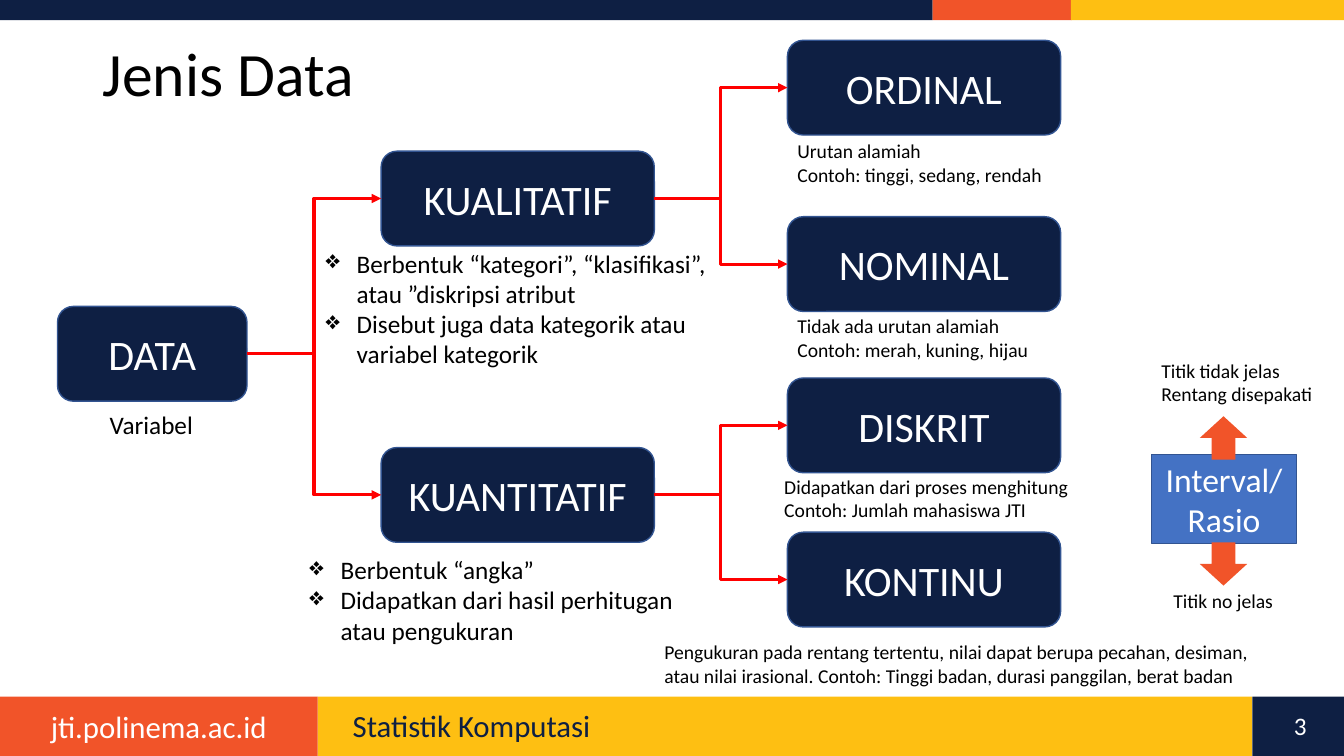
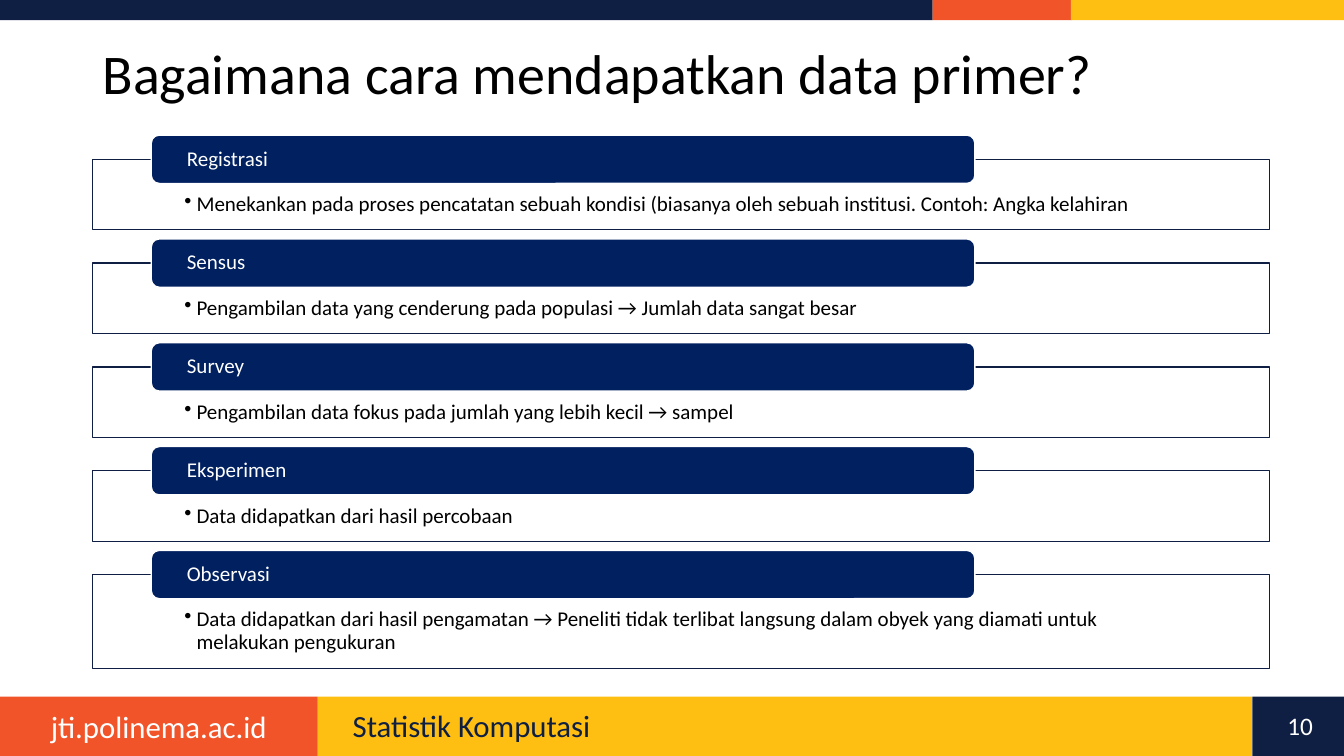
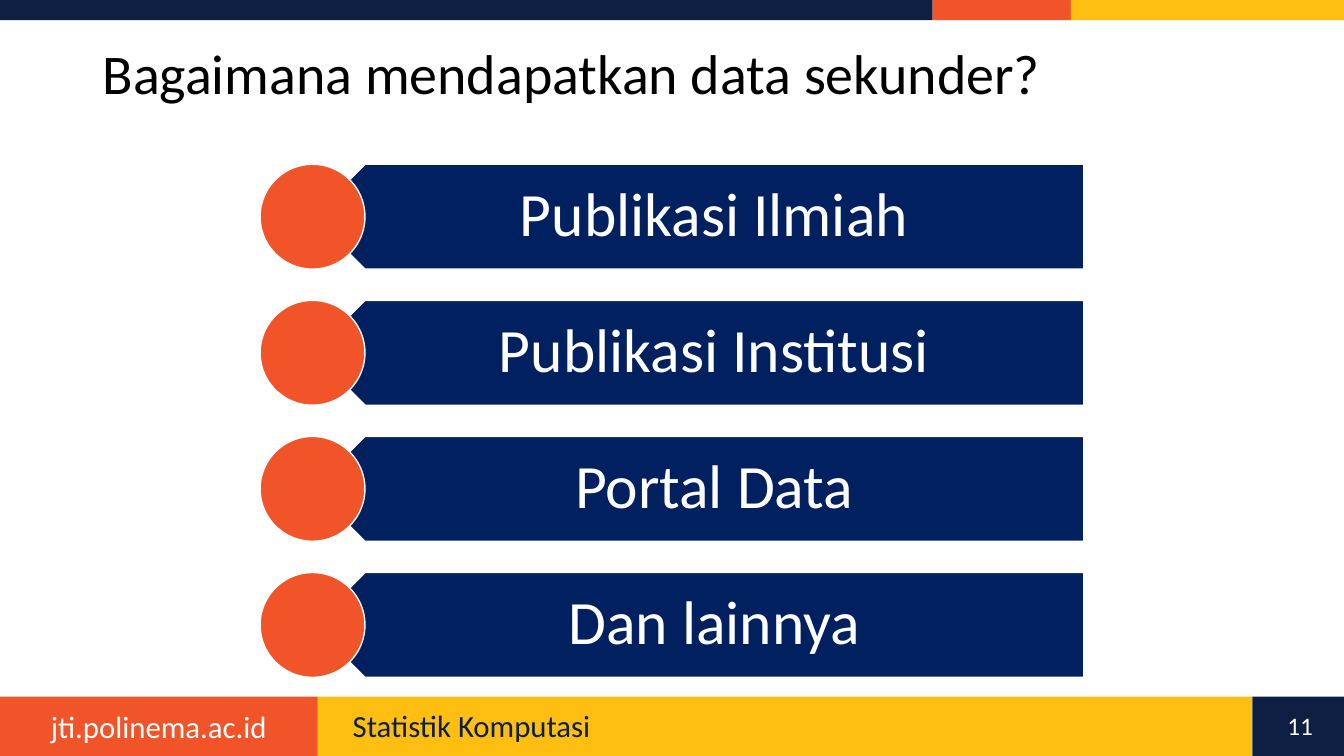
import lxml.etree
import pptx
import pptx.dml.color
import pptx.enum.shapes
import pptx.enum.text
import pptx.oxml.ns
import pptx.util

Inches = pptx.util.Inches
RGBColor = pptx.dml.color.RGBColor
KIND = pptx.enum.shapes.MSO_SHAPE
ALIGN = pptx.enum.text.PP_ALIGN
ANCHOR = pptx.enum.text.MSO_ANCHOR
qn = pptx.oxml.ns.qn

NAVY = RGBColor(0x0E, 0x1F, 0x43)
DEEP = RGBColor(0x00, 0x20, 0x60)
ORANGE = RGBColor(0xF1, 0x54, 0x29)
YELLOW = RGBColor(0xFE, 0xBF, 0x12)
BLUE = RGBColor(0x44, 0x72, 0xC4)
EDGE = RGBColor(0x32, 0x54, 0x91)
RED = RGBColor(0xFF, 0x00, 0x00)
WHITE = RGBColor(0xFF, 0xFF, 0xFF)
BLACK = RGBColor(0x00, 0x00, 0x00)
FONT = "Calibri"


def write(shape, text, size=14, color=BLACK, align=ALIGN.LEFT, anchor=ANCHOR.TOP,
          inset=(0.1, 0.05), space=1.0, bullet=None, hang=0):
    """Fill a shape with one paragraph for each line of text."""
    frame = shape.text_frame
    frame.word_wrap = True
    frame.vertical_anchor = anchor
    frame.margin_left = frame.margin_right = Inches(inset[0])
    frame.margin_top = frame.margin_bottom = Inches(inset[1])
    for i, line in enumerate(text.split("\n")):
        para = frame.add_paragraph() if i else frame.paragraphs[0]
        para.text = line
        para.alignment = align
        para.line_spacing = space
        if bullet:
            props = para._p.get_or_add_pPr()
            props.set("marL", str(Inches(hang)))
            props.set("indent", str(-Inches(hang)))
            lxml.etree.SubElement(props, qn("a:buChar")).set("char", bullet)
        para.font.name = FONT
        para.font.size = pptx.util.Pt(size)
        para.font.color.rgb = color


def label(slide, box, text, **form):
    write(slide.shapes.add_textbox(*map(Inches, box)), text, **form)


def block(slide, kind, box, fill, line=None):
    shape = slide.shapes.add_shape(kind, *map(Inches, box))
    shape.shadow.inherit = False
    shape.fill.solid()
    shape.fill.fore_color.rgb = fill
    if line is None:
        shape.line.fill.background()
    else:
        shape.line.color.rgb = line
        shape.line.width = pptx.util.Pt(1)
    return shape


def link(slide, start, end):
    """Red elbow arrow from the right side of start to the left side of end."""
    elbow = pptx.enum.shapes.MSO_CONNECTOR.ELBOW
    wire = slide.shapes.add_connector(elbow, 0, 0, 0, 0)
    wire.begin_connect(start, 3)
    wire.end_connect(end, 1)
    wire.line.color.rgb = RED
    wire.line.width = pptx.util.Pt(2.25)
    props = wire.element.spPr
    lxml.etree.SubElement(props.find(qn("a:ln")), qn("a:tailEnd")).set("type", "triangle")
    lxml.etree.SubElement(props, qn("a:effectLst"))


# Bands as left, width, fill
TOP = [(0, 9.25, NAVY), (9.25, 1.38, ORANGE), (10.62, 2.71, YELLOW)]
FOOT = [(3.15, 9.27, YELLOW), (0, 3.15, ORANGE), (12.42, 0.92, NAVY)]


def start(deck, title, number, size=40):
    """New slide with bands, footer and title."""
    slide = deck.slides.add_slide(deck.slide_layouts[6])
    for top, high, bands in ((0, 0.2, TOP), (6.91, 0.59, FOOT)):
        for left, wide, fill in bands:
            block(slide, KIND.RECTANGLE, (left, top, wide, high), fill)
    label(slide, (0, 6.97, 3.15, 0.47), "jti.polinema.ac.id",
          size=22, color=WHITE, align=ALIGN.CENTER)
    label(slide, (3.4, 7, 8.74, 0.4), "Statistik Komputasi", size=22, color=NAVY, space=0.9)
    label(slide, (12.59, 7, 0.61, 0.4), number, size=18, color=WHITE, align=ALIGN.CENTER)
    label(slide, (0.92, 0.4, 10.24, 0.72), title, size=size, anchor=ANCHOR.MIDDLE, space=0.9)
    return slide


POINT = {"size": 18, "bullet": "❖", "hang": 0.31}
# Name, parent, place and width of the node; box of the note from the node; note; format
NODES = [
    ("DATA", None, (0, 2.64, 1.88), (0.42, 0.97, 1.2, 0.4), "Variabel", {"size": 18}),
    ("KUALITATIF", "DATA", (3.21, 1.1, 2.71), (-0.65, 0.91, 4.01, 1.31),
     "Berbentuk “kategori”, “klasifikasi”, atau ”diskripsi atribut\n"
     "Disebut juga data kategorik atau variabel kategorik", POINT),
    ("KUANTITATIF", "DATA", (3.21, 4.04, 2.71), (-0.81, 1.01, 4.01, 1.01),
     "Berbentuk “angka”\nDidapatkan dari hasil perhitugan atau pengukuran", POINT),
    ("ORDINAL", "KUALITATIF", (7.24, 0, 2.71), (0, 0.93, 2.9, 0.57),
     "Urutan alamiah\nContoh: tinggi, sedang, rendah", {}),
    ("NOMINAL", "KUALITATIF", (7.24, 1.75, 2.71), (0, 0.92, 2.9, 0.57),
     "Tidak ada urutan alamiah\nContoh: merah, kuning, hijau", {}),
    ("DISKRIT", "KUANTITATIF", (7.24, 3.35, 2.71), (-0.13, 0.91, 3.64, 0.57),
     "Didapatkan dari proses menghitung\nContoh: Jumlah mahasiswa JTI", {}),
    ("KONTINU", "KUANTITATIF", (7.24, 4.88, 2.71), (-1.32, 1.02, 6.38, 0.57),
     "Pengukuran pada rentang tertentu, nilai dapat berupa pecahan, desiman, "
     "atau nilai irasional. Contoh: Tinggi badan, durasi panggilan, berat badan", {}),
]


def tree(slide, left, top):
    made = {}
    for name, parent, (x, y, wide), (dx, dy, w, h), note, form in NODES:
        x, y = left + x, top + y
        node = block(slide, KIND.ROUNDED_RECTANGLE, (x, y, wide, 0.94), NAVY, EDGE)
        write(node, name, size=30, color=WHITE, align=ALIGN.CENTER, anchor=ANCHOR.MIDDLE)
        made[name] = node
        if parent:
            link(slide, made[parent], node)
        label(slide, (x + dx, y + dy, w, h), note, **form)


def scale(slide, left, top):
    """Interval box with an arrow and a note above and below."""
    core = block(slide, KIND.RECTANGLE, (left, top, 1.44, 0.88), BLUE, EDGE)
    write(core, "Interval/Rasio", size=24, color=WHITE, align=ALIGN.CENTER,
          anchor=ANCHOR.MIDDLE)
    for kind, dy in ((KIND.UP_ARROW, -0.38), (KIND.DOWN_ARROW, 0.87)):
        block(slide, kind, (left + 0.48, top + dy, 0.47, 0.43), ORANGE)
    label(slide, (left, top - 1, 1.85, 0.57), "Titik tidak jelas\nRentang disepakati")
    label(slide, (left + 0.12, top + 1.28, 1.4, 0.34), "Titik no jelas")


WAYS = [
    ("Registrasi", "Menekankan pada proses pencatatan sebuah kondisi "
     "(biasanya oleh sebuah institusi. Contoh: Angka kelahiran", 0.7),
    ("Sensus", "Pengambilan data yang cenderung pada populasi → Jumlah data sangat besar", 0.7),
    ("Survey", "Pengambilan data fokus pada jumlah yang lebih kecil → sampel", 0.7),
    ("Eksperimen", "Data didapatkan dari hasil percobaan", 0.7),
    ("Observasi", "Data didapatkan dari hasil pengamatan → Peneliti tidak terlibat "
     "langsung dalam obyek yang diamati untuk melakukan pengukuran", 0.93),
]


def panels(slide, left, top, wide, step):
    """Framed texts, each with a tab on its upper edge."""
    for i, (name, text, high) in enumerate(WAYS):
        y = top + i * step
        panel = block(slide, KIND.RECTANGLE, (left, y + 0.24, wide, high), WHITE, NAVY)
        write(panel, text, size=15, inset=(0.91, 0.34), space=0.9, bullet="•", hang=0.12)
        tab = block(slide, KIND.ROUNDED_RECTANGLE,
                    (left + 0.58, y, wide * 0.7, 0.48), DEEP, WHITE)
        write(tab, name, size=15, color=WHITE, anchor=ANCHOR.MIDDLE,
              inset=(0.33, 0), space=0.9)


def plates(slide, left, top, wide, step, names):
    """Pointed bars, each with a disc over its tip."""
    high = 1.04
    for i, name in enumerate(names):
        y = top + i * step
        bar = block(slide, KIND.PENTAGON,
                    (left + high / 2, y, wide - high / 2, high), DEEP, WHITE)
        bar.rotation = 180
        label(slide, (left + 0.84, y, wide - 0.84, high), name, size=44, color=WHITE,
              align=ALIGN.CENTER, anchor=ANCHOR.MIDDLE, inset=(0.34, 0.18), space=0.9)
        block(slide, KIND.OVAL, (left, y, high, high), ORANGE, WHITE)


def main():
    deck = pptx.Presentation()
    deck.slide_width, deck.slide_height = Inches(13.33), Inches(7.5)

    kinds = start(deck, "Jenis Data", "3", size=44)
    tree(kinds, 0.57, 0.4)
    scale(kinds, 11.42, 4.51)

    first = start(deck, "Bagaimana cara mendapatkan data primer?", "10")
    panels(first, 0.92, 1.34, 11.67, 1.03)

    second = start(deck, "Bagaimana mendapatkan data sekunder?", "11")
    plates(second, 2.58, 1.63, 8.17, 1.35,
           ["Publikasi Ilmiah", "Publikasi Institusi", "Portal Data", "Dan lainnya"])

    deck.save("out.pptx")


if __name__ == "__main__":
    main()
